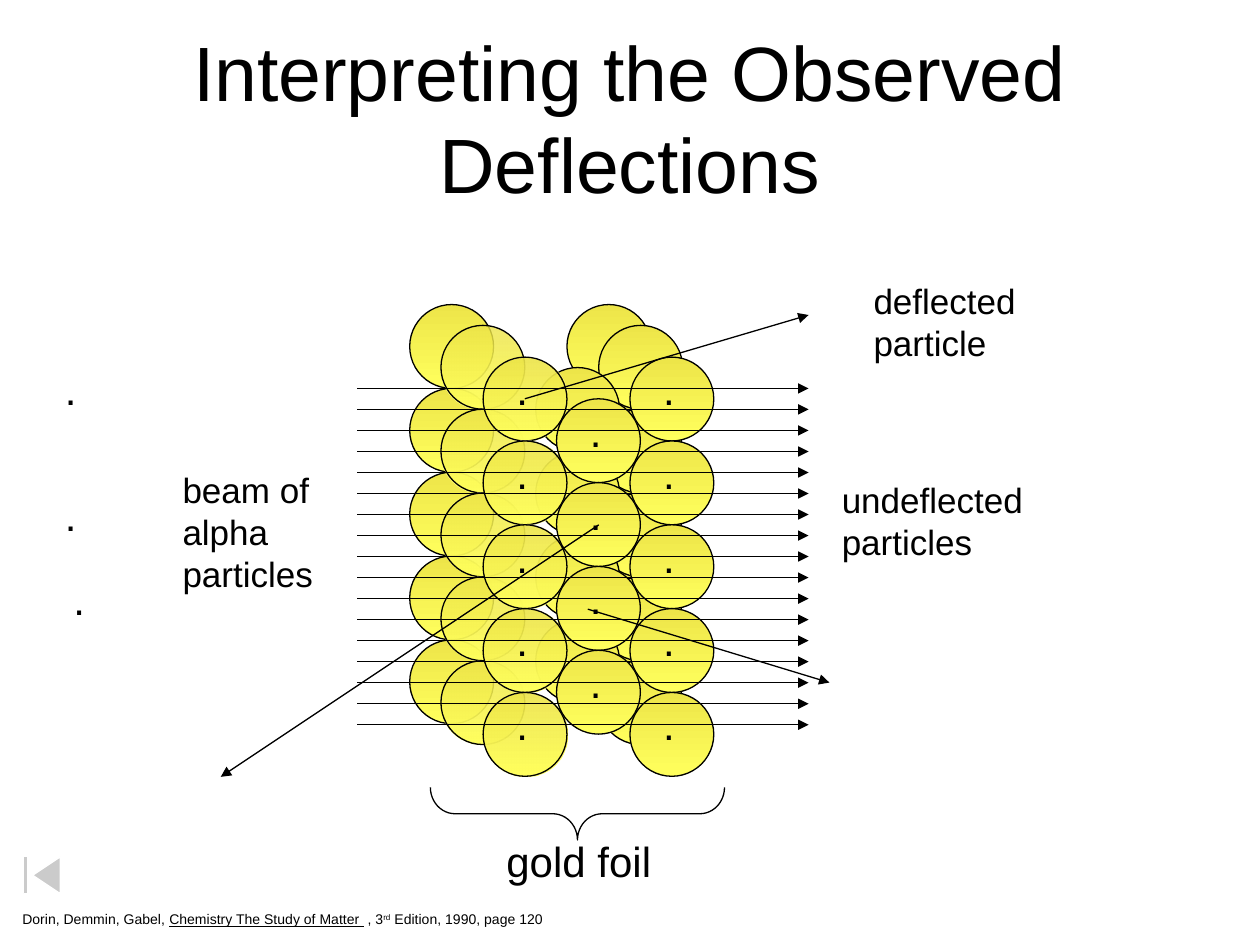
import lxml.etree
import pptx
import pptx.dml.color
import pptx.enum.shapes
import pptx.enum.text
import pptx.oxml.ns
import pptx.util

Cm = pptx.util.Cm
Pt = pptx.util.Pt
RGB = pptx.dml.color.RGBColor.from_string
MSO_SHAPE = pptx.enum.shapes.MSO_SHAPE
qn = pptx.oxml.ns.qn

COLORS = {"ink": "000000", "gold_top": "EDE549", "gold_bottom": "FFFF5D", "paper": "FFFFFF"}

deck = pptx.Presentation()
deck.slide_width, deck.slide_height = Cm(25.4), Cm(19.05)
slide = deck.slides.add_slide(deck.slide_layouts[5])
shapes = slide.shapes


def add_label(left, top, width, height, lines, size, wrap=False):
    frame = shapes.add_textbox(Cm(left), Cm(top), Cm(width), Cm(height)).text_frame
    frame.word_wrap = wrap
    frame.auto_size = pptx.enum.text.MSO_AUTO_SIZE.SHAPE_TO_FIT_TEXT
    frame.text = "\n".join(lines)
    for paragraph in frame.paragraphs:
        paragraph.font.name = "Arial"
        paragraph.font.size = Pt(size)
        paragraph.font.color.rgb = RGB(COLORS["ink"])
    return frame


def add_arrow(x1, y1, x2, y2):
    arrow = shapes.add_connector(
        pptx.enum.shapes.MSO_CONNECTOR.STRAIGHT, Cm(x1), Cm(y1), Cm(x2), Cm(y2))
    arrow.line.color.rgb = RGB(COLORS["ink"])
    arrow.line.width = Pt(0.75)
    lxml.etree.SubElement(arrow.line._get_or_add_ln(), qn("a:tailEnd"), type="triangle")
    lxml.etree.SubElement(arrow._element.spPr, qn("a:effectLst"))


title = shapes.title
title.left, title.top, title.width, title.height = Cm(1.27), Cm(0.76), Cm(22.86), Cm(3.18)
title.text_frame.text = "Interpreting the Observed Deflections"
title.text_frame.vertical_anchor = pptx.enum.text.MSO_ANCHOR.MIDDLE
heading = title.text_frame.paragraphs[0]
heading.alignment = pptx.enum.text.PP_ALIGN.CENTER
heading.font.name = "Arial"
heading.font.size = Pt(44)
heading.font.color.rgb = RGB(COLORS["ink"])

citation = add_label(0.2, 18.24, 11.05, 0.58, ["Dorin, Demmin, Gabel, "], 8).paragraphs[0]
for part, underlined, raised in [
    ("Chemistry The Study of Matter ", True, False),
    (" , 3", False, False),
    ("rd", False, True),
    (" Edition, 1990, page 120", False, False),
]:
    run = citation.add_run()
    run.text = part
    if underlined:
        run.font.underline = True
    if raised:
        run.font._element.set("baseline", "30000")

ATOM = 1.69
atom_columns = [
    (8.26, 6.14, 5, 100),
    (11.43, 6.14, 5, 100),
    (12.07, 6.56, 5, 100),
    (10.8, 7.41, 4, 100),
    (8.89, 6.56, 5, 80),
    (9.74, 7.2, 5, 90),
    (11.22, 8.04, 4, 100),
    (12.7, 7.2, 5, 100),
]
for left, top, count, opacity in atom_columns:
    for row in range(count):
        atom = shapes.add_shape(
            MSO_SHAPE.OVAL, Cm(left), Cm(top + row * ATOM), Cm(ATOM), Cm(ATOM))
        atom.shadow.inherit = False
        atom.line.color.rgb = RGB(COLORS["ink"])
        atom.line.width = Pt(0.75)
        atom.fill.gradient()
        atom.fill.gradient_angle = 270
        for stop, shade in zip(atom.fill.gradient_stops, ("gold_top", "gold_bottom")):
            stop.color.rgb = RGB(COLORS[shade])
        if opacity < 100:
            top_color = atom._element.spPr.find(".//" + qn("a:srgbClr"))
            lxml.etree.SubElement(top_color, qn("a:alpha"), val=str(opacity * 1000))

for left, top, count in [(10.16, 7.2, 5), (11.64, 8.04, 4), (13.12, 7.2, 5)]:
    for row in range(count):
        add_label(left, top + row * ATOM, 0.74, 1.27, ["."], 24)

brace = shapes.add_shape(MSO_SHAPE.RIGHT_BRACE, Cm(11.11), Cm(13.44), Cm(1.06), Cm(5.93))
brace.rotation = 90
brace.adjustments[0] = 0.47
brace.adjustments[1] = 0.5
brace.shadow.inherit = False
brace.fill.background()
brace.line.color.rgb = RGB(COLORS["ink"])
brace.line.width = Pt(0.75)
add_label(9.96, 16.71, 3.43, 1.27, ["gold foil"], 24)

BEAM_COUNT, BEAM_TOP, BEAM_BOTTOM = 17, 7.83, 14.61
beam_gap = (BEAM_BOTTOM - BEAM_TOP) / (BEAM_COUNT - 1)
for index in range(BEAM_COUNT):
    beam_y = BEAM_TOP + index * beam_gap
    add_arrow(7.2, beam_y, 16.3, beam_y)

add_label(17.36, 5.5, 3.8, 1.96, ["deflected particle"], 20, wrap=True)
add_label(16.72, 9.53, 4.34, 1.96, ["undeflected", "particles"], 20)
add_label(3.43, 9.32, 3.15, 2.79, ["beam of", "alpha", "particles"], 20)
for left, top in [(1.06, 7.2), (1.06, 9.74), (1.23, 11.43)]:
    add_label(left, top, 0.74, 1.27, ["."], 24)

for path_ends in [
    (10.58, 8.04, 16.3, 6.35),
    (12.07, 10.58, 4.45, 15.66),
    (11.85, 12.28, 16.72, 13.76),
]:
    add_arrow(*path_ends)

back_button = shapes.add_shape(
    MSO_SHAPE.ACTION_BUTTON_BEGINNING, Cm(0), Cm(17.15), Cm(1.69), Cm(0.99))
back_button.shadow.inherit = False
back_button.fill.solid()
back_button.fill.fore_color.rgb = RGB(COLORS["paper"])
button_color = back_button._element.spPr.find(".//" + qn("a:srgbClr"))
lxml.etree.SubElement(button_color, qn("a:alpha"), val="50000")
back_button.line.color.rgb = RGB(COLORS["paper"])
back_button.line.width = Pt(0.75)

deck.save("out.pptx")
